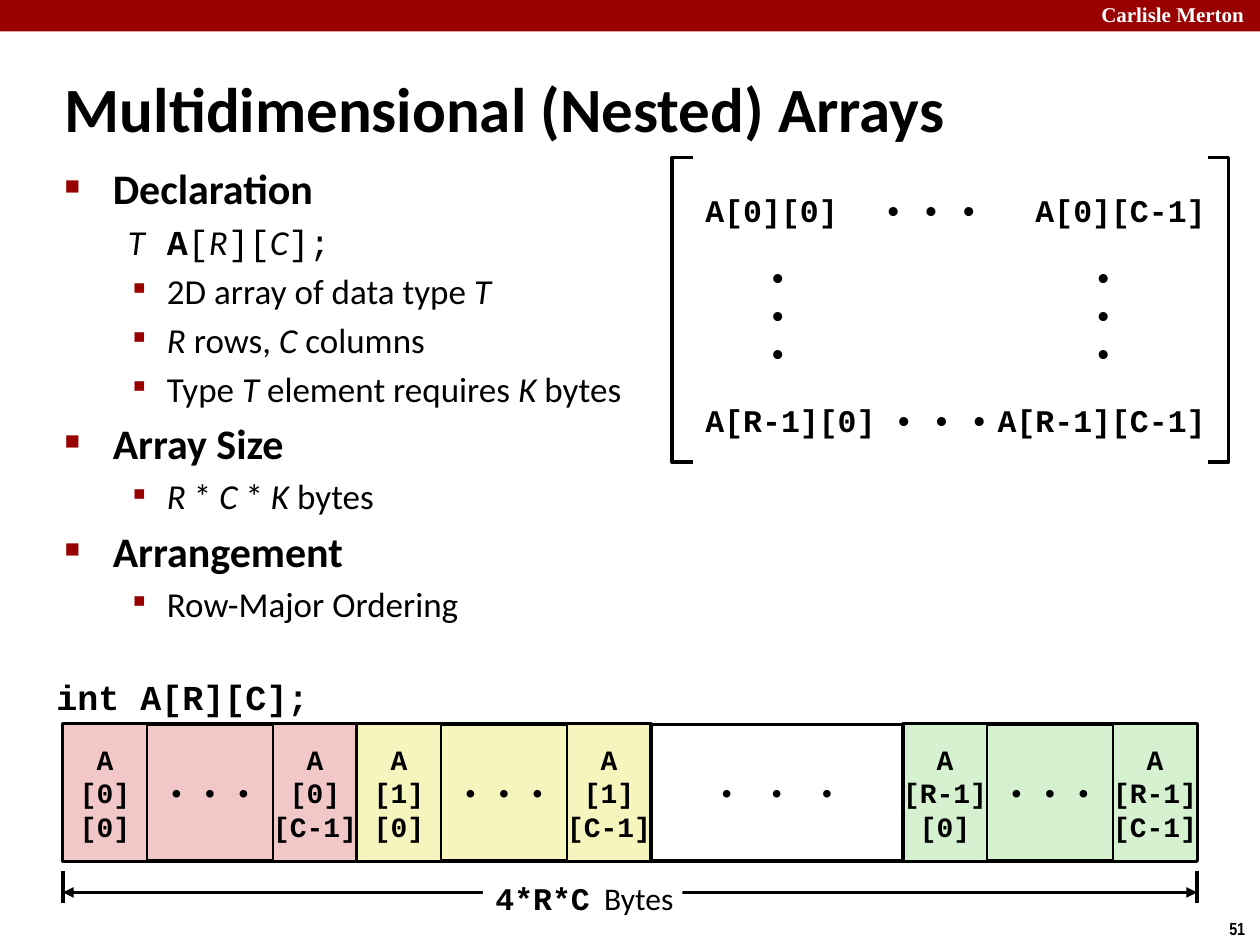
from collections import namedtuple
from dataclasses import dataclass
from lxml.etree import SubElement
from pptx import Presentation
from pptx.dml.color import RGBColor
from pptx.enum.shapes import MSO_CONNECTOR, MSO_SHAPE
from pptx.enum.text import MSO_ANCHOR, PP_ALIGN
from pptx.oxml.ns import qn
from pptx.util import Inches, Pt

UNIT = Inches(1) // 12


@dataclass(frozen=True)
class Theme:
    red: str = "990000"
    ink: str = "000000"
    paper: str = "FFFFFF"
    rows: tuple = ("F1C7C7", "F6F5BD", "D5F1CF")
    sans: str = "Calibri"
    code: str = "Courier New"
    serif: str = "Times New Roman"
    narrow: str = "Arial Narrow"
    title: int = 36
    heading: int = 24
    body: int = 20
    label: int = 18
    cell: int = 16
    brand: int = 12
    number: int = 10
    thick: float = 2.25
    medium: float = 2
    thin: float = 1


T = Theme()
DOTS = "• • •"


class Box(namedtuple("Box", "x y w h")):
    def at(self, x, y, w, h):
        return Box(self.x + x, self.y + y, w, h)

    def emu(self):
        return [round(v * UNIT) for v in self]


def add_run(p, text, size, font=T.sans, color=T.ink, bold=False, italic=False):
    r = p.add_run()
    r.text = text
    r.font.size, r.font.name = Pt(size), font
    r.font.bold, r.font.italic = bold, italic
    r.font.color.rgb = RGBColor.from_string(color)
    return r


def spread(r, points):
    r.font._element.set("spc", str(round(points * 100)))


def add_text(shapes, box, wrap=False, anchor=MSO_ANCHOR.TOP):
    tf = shapes.add_textbox(*box.emu()).text_frame
    tf.word_wrap, tf.vertical_anchor = wrap, anchor
    return tf


def add_rect(shapes, box, fill, weight=0):
    sp = shapes.add_shape(MSO_SHAPE.RECTANGLE, *box.emu())
    sp.shadow.inherit = False
    sp.fill.solid()
    sp.fill.fore_color.rgb = RGBColor.from_string(fill)
    if weight:
        sp.line.color.rgb = RGBColor.from_string(T.ink)
        sp.line.width = Pt(weight)
    else:
        sp.line.fill.background()
    tf = sp.text_frame
    tf.word_wrap, tf.vertical_anchor = False, MSO_ANCHOR.MIDDLE
    return tf


def write_lines(tf, lines, size, align, bold=True):
    for i, line in enumerate(lines):
        p = tf.add_paragraph() if i else tf.paragraphs[0]
        p.alignment = align
        r = add_run(p, line, size, T.code, bold=bold)
    return r


def add_line(shapes, x1, y1, x2, y2, arrows=False):
    ends = [round(v * UNIT) for v in (x1, y1, x2, y2)]
    c = shapes.add_connector(MSO_CONNECTOR.STRAIGHT, *ends)
    c.line.color.rgb = RGBColor.from_string(T.ink)
    c.line.width = Pt(T.medium)
    if arrows:
        for end in ("a:headEnd", "a:tailEnd"):
            SubElement(c.line._get_or_add_ln(), qn(end), type="triangle")
    SubElement(c._element.spPr, qn("a:effectLst"))


def format_item(p, margin, hang, bullet=None, size=100):
    pPr = p._p.get_or_add_pPr()
    pPr.set("marL", str(Inches(margin)))
    pPr.set("indent", str(-Inches(hang)))
    before = SubElement(pPr, qn("a:spcBef"))
    SubElement(before, qn("a:spcPct"), val="20000")
    if bullet:
        color = SubElement(pPr, qn("a:buClr"))
        SubElement(color, qn("a:srgbClr"), val=T.red)
        SubElement(pPr, qn("a:buSzPct"), val=str(size * 1000))
        SubElement(pPr, qn("a:buFont"), typeface=T.code)
        SubElement(pPr, qn("a:buChar"), char=bullet)
    else:
        SubElement(pPr, qn("a:buNone"))


def banner(shapes, box):
    add_rect(shapes, box, T.red)
    tf = add_text(shapes, box.at(103.7, -0.4, 17.2, 3.6), True)
    add_run(tf.paragraphs[0], "Carlisle Merton", T.brand, T.serif, T.paper, True)


def page_number(shapes, box):
    tf = add_text(shapes, box)
    add_run(tf.paragraphs[0], "51", T.number, T.narrow, bold=True)


def title(shapes, box):
    p = add_text(shapes, box, True, MSO_ANCHOR.MIDDLE).paragraphs[0]
    pPr = p._p.get_or_add_pPr()
    pPr.set("marL", str(Inches(0.13)))
    pPr.set("indent", str(-Inches(0.13)))
    add_run(p, "Multidimensional (Nested) Arrays", T.title, bold=True)


def outline(shapes, box):
    styles = {
        "h": dict(size=T.heading, bold=True),
        "n": dict(size=T.body),
        "i": dict(size=T.body, italic=True),
        "c": dict(size=T.body, font=T.code),
        "k": dict(size=T.body, font=T.code, bold=True),
    }
    head = dict(margin=0.38, hang=0.38, bullet="■", size=60)
    code = dict(margin=0.81, hang=0.31)
    item = dict(code, bullet="▪", size=110)
    items = [
        (head, [("h", "Declaration")]),
        (code, [("i", "T\t"), ("k", "A"), ("c", "["), ("i", "R"), ("c", "]["), ("i", "C"), ("c", "];")]),
        (item, [("n", "2D array of data type "), ("i", "T")]),
        (item, [("i", "R"), ("n", " rows, "), ("i", "C"), ("n", " columns")]),
        (item, [("n", "Type "), ("i", "T"), ("n", " element requires "), ("i", "K"), ("n", " bytes")]),
        (head, [("h", "Array Size")]),
        (item, [("i", "R"), ("n", " * "), ("i", "C "), ("n", "* "), ("i", "K "), ("n", "bytes")]),
        (head, [("h", "Arrangement")]),
        (item, [("n", "Row-Major Ordering")]),
    ]
    tf = add_text(shapes, box, True)
    for i, (layout, runs) in enumerate(items):
        p = tf.add_paragraph() if i else tf.paragraphs[0]
        format_item(p, **layout)
        for style, text in runs:
            add_run(p, text, **styles[style])


def matrix(shapes, box):
    group = shapes.add_group_shape().shapes
    for y, row, dots_x in ((2, "0", 19), (22, "R-1", 20)):
        for x, w, text, align in (
            (2, 16, f"A[{row}][0]", PP_ALIGN.LEFT),
            (dots_x, 12, DOTS, PP_ALIGN.LEFT),
            (36, 16, f"A[{row}][C-1]", PP_ALIGN.RIGHT),
        ):
            tf = add_rect(group, box.at(x, y, w, 6), T.paper)
            write_lines(tf, [text], T.label, align)
    for x in (8, 39):
        tf = add_rect(group, box.at(x, 10, 6, 10), T.paper)
        write_lines(tf, "•••", T.label, PP_ALIGN.LEFT)
    top, bottom = box.y * UNIT, (box.y + box.h) * UNIT
    for side, turn in ((box.x, 2), (box.x + box.w, -2)):
        edge, tip = side * UNIT, (side + turn) * UNIT
        fb = group.build_freeform(tip, top)
        fb.add_line_segments([(edge, top), (edge, bottom), (tip, bottom)], close=False)
        sp = fb.convert_to_shape()
        sp.shadow.inherit = False
        sp.fill.background()
        sp.line.color.rgb = RGBColor.from_string(T.ink)
        sp.line.width = Pt(T.medium)


def memory(shapes, box):
    group = shapes.add_group_shape().shapes
    row_w, cell_w = 28, 8
    starts = (0, row_w, box.w - row_w)
    for x, row, fill in zip(starts, ("0", "1", "R-1"), T.rows):
        tf = add_rect(group, box.at(x, 0, row_w, box.h), fill, T.thick)
        write_lines(tf, [DOTS], T.cell, PP_ALIGN.CENTER, False)
        for dx, col in ((0, "0"), (row_w - cell_w, "C-1")):
            tf = add_rect(group, box.at(x + dx, 0, cell_w, box.h), fill, T.thin)
            write_lines(tf, ["A", f"[{row}]", f"[{col}]"], T.cell, PP_ALIGN.CENTER)
    gap = box.at(2 * row_w, 0, box.w - 3 * row_w, box.h)
    tf = add_rect(group, gap, T.paper, T.medium)
    spread(write_lines(tf, [DOTS], T.cell, PP_ALIGN.CENTER, False), 4.8)


def declaration(shapes, box):
    write_lines(add_text(shapes, box), ["int A[R][C];"], T.body, PP_ALIGN.RIGHT)


def extent(shapes, box):
    right = box.x + box.w
    for x in (box.x, right):
        add_line(shapes, x, box.y, x, box.y + box.h)
    add_line(shapes, box.x, box.y + 2, right, box.y + 2, arrows=True)
    p = add_rect(shapes, box.at(40, 0, 19, 5), T.paper).paragraphs[0]
    p.alignment = PP_ALIGN.LEFT
    add_run(p, "4*R*C", T.label, T.code, bold=True)
    spread(add_run(p, " ", T.label), 4)
    add_run(p, "Bytes", T.label)


def main():
    prs = Presentation()
    prs.slide_width, prs.slide_height = Inches(10), Inches(7.5)
    s = prs.slides.add_slide(prs.slide_layouts[6])
    for region, box in (
        (banner, Box(0, 0, 120, 3)),
        (page_number, Box(115.9, 86.8, 4.1, 3.2)),
        (title, Box(5, 6.5, 106, 7.5)),
        (outline, Box(5, 14.9, 58.2, 44.2)),
        (matrix, Box(64, 15, 53, 29)),
        (declaration, Box(3, 63.7, 27.6, 5.2)),
        (memory, Box(6, 69, 108, 13)),
        (extent, Box(6, 83, 108, 3)),
    ):
        region(s.shapes, box)
    prs.save("out.pptx")


if __name__ == "__main__":
    main()
